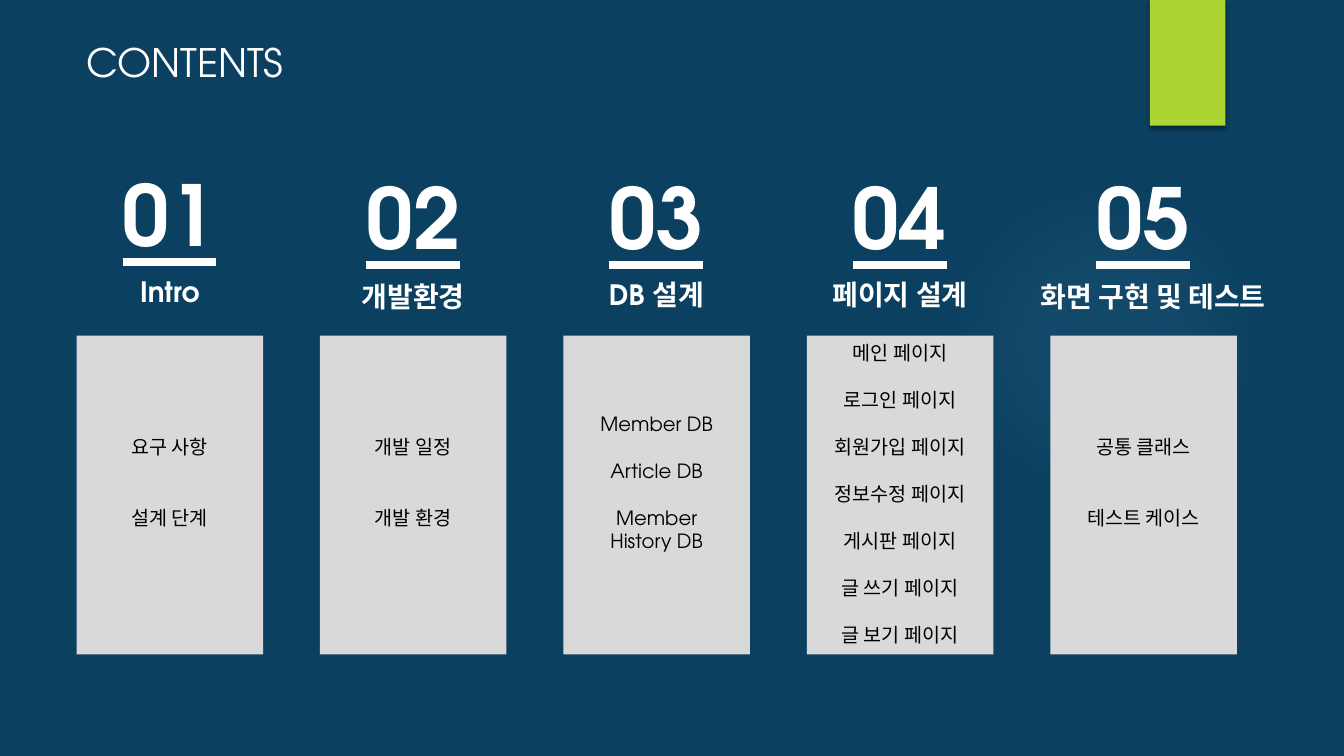
import pptx
import pptx.util
import pptx.dml.color
import pptx.enum.shapes
import pptx.enum.text
import pptx.oxml
import pptx.oxml.ns

Cm = pptx.util.Cm
Pt = pptx.util.Pt
SHAPES = pptx.enum.shapes.MSO_SHAPE
ALIGN = pptx.enum.text.PP_ALIGN
ANCHOR = pptx.enum.text.MSO_ANCHOR

TITLE = "CONTENTS"
SECTIONS = [
    {"number": "01", "heading": "Intro", "number_top": 3.96, "heading_top": 6.78,
     "heading_width": 2.9, "shift": 0, "lead": 4,
     "items": [("요구 사항", 0), ("설계 단계", 2)]},
    {"number": "02", "heading": "개발환경", "number_top": 4.04, "heading_top": 6.91,
     "heading_width": 3.81, "shift": 0, "lead": 4,
     "items": [("개발 일정", 0), ("개발 환경", 2)]},
    {"number": "03", "heading": "DB 설계", "number_top": 4.04, "heading_top": 6.86,
     "heading_width": 3.81, "shift": 0, "lead": 3,
     "items": [("Member DB", 0), ("Article DB", 1), ("Member", 1), ("History DB", 0)]},
    {"number": "04", "heading": "페이지 설계", "number_top": 4.04, "heading_top": 6.86,
     "heading_width": 4.32, "shift": 0, "lead": 0,
     "items": [("메인 페이지", 0), ("로그인 페이지", 1), ("회원가입 페이지", 1),
               ("정보수정 페이지", 1), ("게시판 페이지", 1), ("글 쓰기 페이지", 1),
               ("글 보기 페이지", 1)]},
    {"number": "05", "heading": "화면 구현 및 테스트", "number_top": 4.04, "heading_top": 6.91,
     "heading_width": 7.21, "shift": 0.24, "lead": 4,
     "items": [("공통 클래스", 0), ("테스트 케이스", 2)]},
]

FONT = "TeX Gyre Adventor"
NAVY, GREEN, GREY, WHITE, BLACK, SKY = "0B4060", "ACD433", "D9D9D9", "FFFFFF", "000000", "7AC4F0"
TITLE_FORMAT = {"size": Pt(28), "name": FONT}
NUMBER_FORMAT = {"size": Pt(60), "name": FONT, "bold": True, "underline": True}
HEADING_FORMAT = {"size": Pt(20), "name": FONT, "bold": True}
ITEM_FORMAT = {"size": Pt(14), "name": FONT}

LEFT, PITCH, PANEL_WIDTH = 1.93, 6.135, 4.7
PANEL_TOP, PANEL_HEIGHT = 8.46, 8.03
NUMBER_INDENT, NUMBER_WIDTH, NUMBER_HEIGHT = 0.91, 2.9, 2.82
HEADING_HEIGHT = 1.12
ITEM_LINE = Pt(16.8)
INSET = Cm(0.13)


def paint(color_format, color):
    color_format.rgb = pptx.dml.color.RGBColor.from_string(color)


def write(paragraph, text, look, color, align):
    run = paragraph.add_run()
    run.text = text
    for key, value in look.items():
        setattr(run.font, key, value)
    paint(run.font.color, color)
    paragraph.alignment = align


def add_label(text, left, top, width, height, look, align):
    frame = slide.shapes.add_textbox(Cm(left), Cm(top), Cm(width), Cm(height)).text_frame
    frame.word_wrap = False
    write(frame.paragraphs[0], text, look, WHITE, align)


def add_block(kind, left, top, width, height, color):
    block = slide.shapes.add_shape(kind, Cm(left), Cm(top), Cm(width), Cm(height))
    block.shadow.inherit = False
    block.fill.solid()
    paint(block.fill.fore_color, color)
    block.line.fill.background()
    return block


def add_glow():
    glow = add_block(SHAPES.OVAL, 23.9, 4.65, 7.82, 7.82, SKY)
    stops = "".join(
        f'<a:gs pos="{position * 1000}"><a:srgbClr val="{SKY}">'
        f'<a:alpha val="{opacity * 1000}"/></a:srgbClr></a:gs>'
        for position, opacity in [(0, 7), (36, 6), (69, 0), (100, 0)])
    gradient = pptx.oxml.parse_xml(
        f'<a:gradFill {pptx.oxml.ns.nsdecls("a")} rotWithShape="1"><a:gsLst>{stops}</a:gsLst>'
        '<a:path path="circle"><a:fillToRect l="50000" t="50000" r="50000" b="50000"/>'
        '</a:path></a:gradFill>')
    properties = glow.element.spPr
    properties.replace(properties.find(pptx.oxml.ns.qn("a:solidFill")), gradient)


def add_ribbon():
    ribbon = add_block(SHAPES.RECTANGLE, 28.98, 0, 1.9, 3.17, GREEN)
    effects = ribbon.element.spPr.find(pptx.oxml.ns.qn("a:effectLst"))
    effects.append(pptx.oxml.parse_xml(
        f'<a:outerShdw {pptx.oxml.ns.nsdecls("a")} blurRad="{Pt(3)}" dist="{Pt(2)}" '
        f'dir="5400000" rotWithShape="0"><a:srgbClr val="{BLACK}">'
        '<a:alpha val="45000"/></a:srgbClr></a:outerShdw>'))


def add_section(section, left):
    add_label(section["number"], left + NUMBER_INDENT, section["number_top"],
              NUMBER_WIDTH, NUMBER_HEIGHT, NUMBER_FORMAT, ALIGN.LEFT)
    width = section["heading_width"]
    add_label(section["heading"], left + (PANEL_WIDTH - width) / 2 + section["shift"],
              section["heading_top"], width, HEADING_HEIGHT, HEADING_FORMAT, ALIGN.CENTER)
    frame = add_block(SHAPES.RECTANGLE, left, PANEL_TOP, PANEL_WIDTH, PANEL_HEIGHT,
                      GREY).text_frame
    frame.word_wrap = True
    frame.vertical_anchor = ANCHOR.TOP
    frame.margin_top = INSET + section["lead"] * ITEM_LINE
    frame.margin_bottom = INSET
    for index, (item, gap) in enumerate(section["items"]):
        paragraph = frame.add_paragraph() if index else frame.paragraphs[0]
        write(paragraph, item, ITEM_FORMAT, BLACK, ALIGN.CENTER)
        if gap:
            paragraph.space_before = gap * ITEM_LINE


deck = pptx.Presentation()
deck.slide_width, deck.slide_height = Cm(33.87), Cm(19.05)
slide = deck.slides.add_slide(deck.slide_layouts[6])
slide.background.fill.solid()
paint(slide.background.fill.fore_color, NAVY)

add_glow()
add_ribbon()
add_label(TITLE, LEFT, 0.84, 5.54, 1.45, TITLE_FORMAT, ALIGN.LEFT)
for column, section in enumerate(SECTIONS):
    add_section(section, LEFT + column * PITCH)

deck.save("out.pptx")
